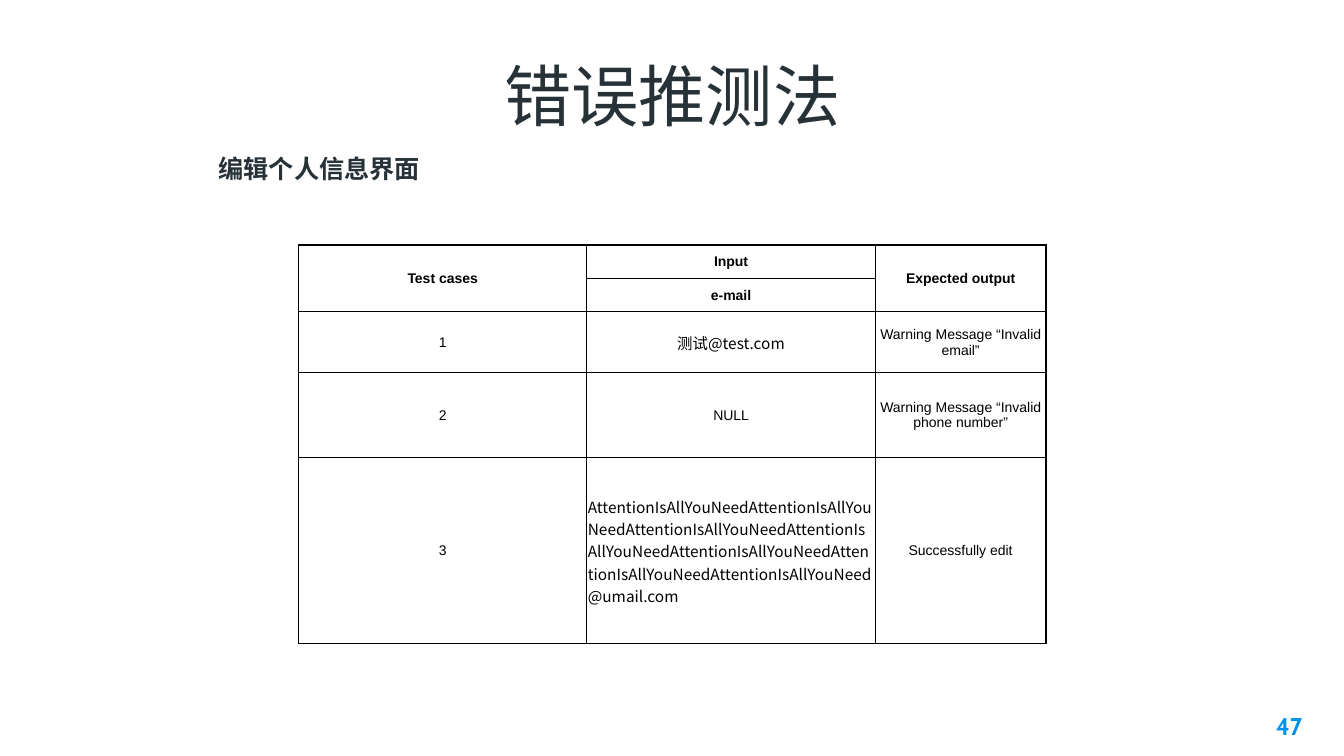
from lxml import etree
from pptx import Presentation
from pptx.dml.color import RGBColor
from pptx.enum import text
from pptx.oxml import ns
from pptx.util import Pt

ARIAL, CABIN, NOTO = "Arial", "Cabin", "Noto Sans CJK SC"
INK, BLUE, BLACK = "263238", "0091EA", "000000"
LEFT, CENTER, RIGHT = text.PP_ALIGN.LEFT, text.PP_ALIGN.CENTER, text.PP_ALIGN.RIGHT


def write(frame, words, face, size, color, bold=False, align=LEFT):
    paragraph = frame.paragraphs[0]
    paragraph.alignment = align
    run = paragraph.add_run()
    run.text = words
    for key, value in {"name": face, "size": Pt(size), "bold": bold}.items():
        setattr(run.font, key, value)
    run.font.color.rgb = RGBColor.from_string(color)


def add_borders(cell):
    properties = cell._tc.get_or_add_tcPr()
    for position, side in enumerate(("lnL", "lnR", "lnT", "lnB")):
        line = etree.Element(ns.qn(f"a:{side}"), w=str(Pt(1)))
        fill = etree.SubElement(line, ns.qn("a:solidFill"))
        etree.SubElement(fill, ns.qn("a:srgbClr"), val=BLACK)
        properties.insert(position, line)


deck = Presentation()
deck.slide_width, deck.slide_height = Pt(960), Pt(540)
slide = deck.slides.add_slide(deck.slide_layouts[5])

# Title, heading and page number
title = slide.shapes.title
title.left, title.top, title.width, title.height = Pt(82.8), Pt(32.4), Pt(794.9), Pt(73.4)
heading = slide.shapes.add_textbox(Pt(149), Pt(105.8), Pt(183.6), Pt(28.8))
page_number = slide.shapes.add_textbox(Pt(882), Pt(499), Pt(57.6), Pt(41))
for box in (title, heading, page_number):
    box.text_frame.word_wrap = True
    box.text_frame.auto_size = text.MSO_AUTO_SIZE.NONE
for box in (title, page_number):
    for side in ("left", "top", "right", "bottom"):
        setattr(box.text_frame, f"margin_{side}", Pt(9.4))
title.text_frame.vertical_anchor = text.MSO_ANCHOR.BOTTOM

write(title.text_frame, "错误推测法", ARIAL, 48, INK, align=CENTER)
write(heading.text_frame, "编辑个人信息界面", ARIAL, 18, INK, bold=True)
write(page_number.text_frame, "47", CABIN, 17.3, BLUE, bold=True, align=RIGHT)

# Test case table
long_email = "AttentionIsAllYouNeed" * 7 + "@umail.com"
test_cases = [
    ["Test cases", "Input", "Expected output"],
    ["", "e-mail", ""],
    ["1", "测试@test.com", "Warning Message “Invalid email”"],
    ["2", "NULL", "Warning Message “Invalid phone number”"],
    ["3", long_email, "Successfully edit"],
]
column_widths = [206, 206, 122]
row_heights = [23.8, 23.8, 43.4, 60.7, 133]
header_rows = 2

table = slide.shapes.add_table(
    len(row_heights), len(column_widths), Pt(213.2), Pt(175),
    Pt(sum(column_widths)), Pt(sum(row_heights))).table
table.first_row = table.horz_banding = False
for column, width in zip(table.columns, column_widths):
    column.width = Pt(width)
for row, height in zip(table.rows, row_heights):
    row.height = Pt(height)
for merged_column in (0, 2):
    table.cell(0, merged_column).merge(table.cell(1, merged_column))

cell_format = {
    "margin_left": Pt(0.7), "margin_right": Pt(0.7), "margin_top": Pt(0.7),
    "margin_bottom": 0, "vertical_anchor": text.MSO_ANCHOR.MIDDLE,
}
for r, case in enumerate(test_cases):
    for c, words in enumerate(case):
        cell = table.cell(r, c)
        for key, value in cell_format.items():
            setattr(cell, key, value)
        cell.fill.background()
        add_borders(cell)
        if words:
            face, size = (NOTO, 11) if "@" in words else (ARIAL, 10)
            write(cell.text_frame, words, face, size, BLACK, bold=r < header_rows,
                  align=LEFT if words == long_email else CENTER)

deck.save("out.pptx")
